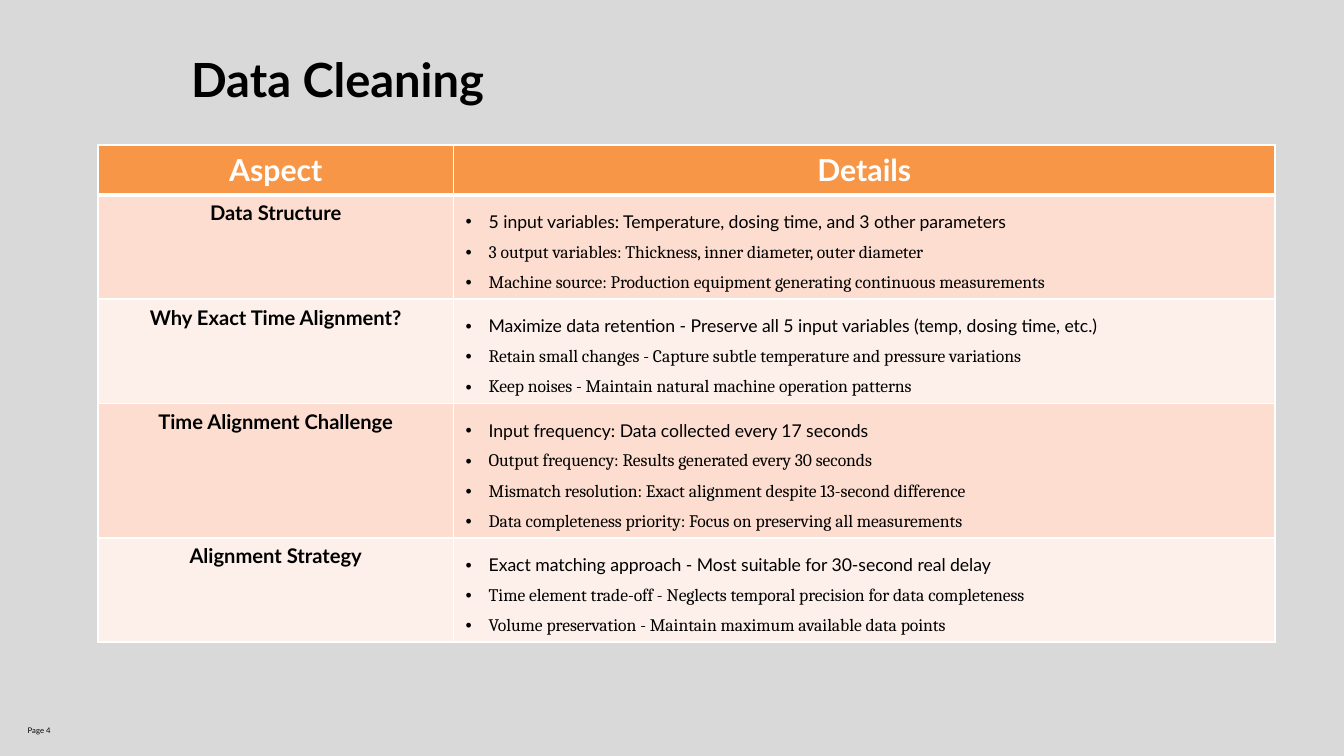
from lxml import etree
from pptx import Presentation, util as u
from pptx.dml.color import RGBColor
from pptx.enum import text
from pptx.oxml import ns

TITLE, PAGE = "Data Cleaning", "Page 4"
HEADS = ("Aspect", "Details")
ROWS = [
    ("Data Structure", [
        "5 input variables: Temperature, dosing time, and 3 other parameters",
        "3 output variables: Thickness, inner diameter, outer diameter",
        "Machine source: Production equipment generating continuous measurements"]),
    ("Why Exact Time Alignment?", [
        "Maximize data retention - Preserve all 5 input variables (temp, dosing time, etc.)",
        "Retain small changes - Capture subtle temperature and pressure variations",
        "Keep noises - Maintain natural machine operation patterns"]),
    ("Time Alignment Challenge", [
        "Input frequency: Data collected every 17 seconds",
        "Output frequency: Results generated every 30 seconds",
        "Mismatch resolution: Exact alignment despite 13-second difference",
        "Data completeness priority: Focus on preserving all measurements"]),
    ("Alignment Strategy", [
        "Exact matching approach - Most suitable for 30-second real delay",
        "Time element trade-off - Neglects temporal precision for data completeness",
        "Volume preservation - Maintain maximum available data points"]),
]
HEX = {"back": "D9D9D9", "head": "F79646", "odd": "FCDDCF", "even": "FDEFE9",
       "ink": "000000", "white": "FFFFFF"}
FONTS = {
    "title": {"name": "Lato", "size": u.Pt(28), "bold": True},
    "head": {"name": "Lato", "size": u.Pt(18), "bold": True},
    "aspect": {"name": "Lato", "size": u.Pt(12), "bold": True},
    "first": {"name": "Lato", "size": u.Pt(10.5), "bold": False},
    "next": {"name": "Cambria", "size": u.Pt(10.5), "bold": False},
    "page": {"name": "Lato", "size": u.Pt(8), "bold": False},
}
WIDE, HIGH = 11.11, 6.25
COLS = (2.94, 6.79)
HEAD, LINE, PAD = 0.41, 0.25, 0.11
LEFT, CENTER = text.PP_ALIGN.LEFT, text.PP_ALIGN.CENTER


def rgb(key):
    return RGBColor.from_string(HEX[key])


def write(para, words, style, color="ink", align=LEFT):
    run = para.add_run()
    run.text = words
    for key, value in FONTS[style].items():
        setattr(run.font, key, value)
    run.font.color.rgb = rgb(color)
    para.alignment = align
    return run


def place(shape, box):
    for key, value in zip(("left", "top", "width", "height"), box):
        setattr(shape, key, u.Inches(value))


def bullet(para):
    props = para._p.get_or_add_pPr()
    dent = u.Inches(0.19)
    props.set("marL", str(dent))
    props.set("indent", str(-dent))
    etree.SubElement(props, ns.qn("a:buFont")).set("typeface", "Arial")
    etree.SubElement(props, ns.qn("a:buChar")).set("char", "•")
    para.line_spacing = 1.5


def paint(cell, color, row):
    props = cell._tc.get_or_add_tcPr()
    thick = {0: "B", 1: "T"}.get(row)
    for side in "LRTB":
        line = etree.SubElement(props, ns.qn("a:ln" + side))
        line.set("w", str(u.Pt(3 if side == thick else 1)))
        fill = etree.SubElement(line, ns.qn("a:solidFill"))
        etree.SubElement(fill, ns.qn("a:srgbClr")).set("val", HEX["white"])
    cell.fill.solid()
    cell.fill.fore_color.rgb = rgb(color)


def main():
    deck = Presentation()
    deck.slide_width, deck.slide_height = u.Inches(WIDE), u.Inches(HIGH)
    slide = deck.slides.add_slide(deck.slide_layouts[5])
    slide.background.fill.solid()
    slide.background.fill.fore_color.rgb = rgb("back")

    title = slide.shapes.title
    place(title, (1.58, 0.42, 7.54, 0.4))
    frame = title.text_frame
    form = {"margin_left": 0, "margin_top": 0, "margin_right": 0, "margin_bottom": 0,
            "vertical_anchor": text.MSO_ANCHOR.TOP, "auto_size": text.MSO_AUTO_SIZE.NONE}
    for key, value in form.items():
        setattr(frame, key, value)
    write(frame.paragraphs[0], TITLE, "title")

    tall = [HEAD] + [PAD + LINE * len(notes) for _, notes in ROWS]
    box = [u.Inches(n) for n in (0.81, 1.2, sum(COLS), sum(tall))]
    table = slide.shapes.add_table(len(tall), len(COLS), *box).table
    for col, width in zip(table.columns, COLS):
        col.width = u.Inches(width)
    for row, height in zip(table.rows, tall):
        row.height = u.Inches(height)

    for col, words in enumerate(HEADS):
        cell = table.cell(0, col)
        paint(cell, "head", 0)
        write(cell.text_frame.paragraphs[0], words, "head", "white", CENTER)
    for row, (aspect, notes) in enumerate(ROWS, 1):
        left, right = table.cell(row, 0), table.cell(row, 1)
        for cell in (left, right):
            paint(cell, "odd" if row % 2 else "even", row)
        write(left.text_frame.paragraphs[0], aspect, "aspect", align=CENTER)
        frame = right.text_frame
        for num, note in enumerate(notes):
            para = frame.add_paragraph() if num else frame.paragraphs[0]
            bullet(para)
            write(para, note, "next" if num else "first")

    page = slide.shapes.add_textbox(0, 0, 0, 0)
    place(page, (0.13, 5.84, 0.96, 0.33))
    page.text_frame.word_wrap = True
    page.text_frame.vertical_anchor = text.MSO_ANCHOR.MIDDLE
    run = write(page.text_frame.paragraphs[0], PAGE, "page")
    run._r.get_or_add_rPr().set("baseline", "-25000")

    deck.save("out.pptx")


if __name__ == "__main__":
    main()
